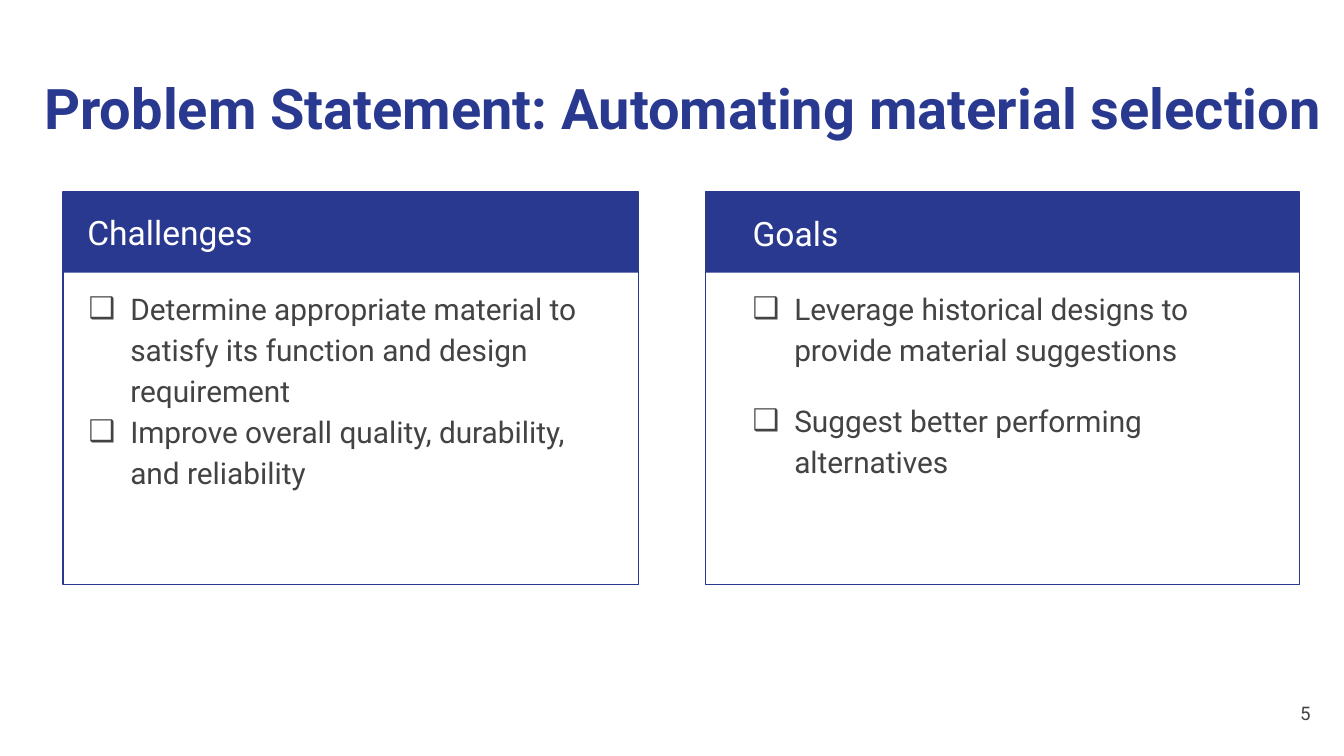
from dataclasses import dataclass

from lxml import etree
from pptx import Presentation
from pptx import util as u
from pptx.dml.color import RGBColor
from pptx.enum import shapes, text
from pptx.oxml.ns import qn

TITLE = "Problem Statement: Automating material selection"
PAGE_NUMBER = "5"

# Lengths in inches; "gap" is the space in points around every later item.
PANELS = [
    {
        "heading": "Challenges",
        "items": [
            "Determine appropriate material to satisfy its function and design requirement",
            "Improve overall quality, durability, and reliability",
        ],
        "left": 0.47, "width": 4.28, "heading_at": (0.55, 1.43),
        "text_left": 0.56, "text_width": 4, "gap": 0,
    },
    {
        "heading": "Goals",
        "items": [
            "Leverage historical designs to provide material suggestions",
            "Suggest better performing alternatives",
        ],
        "left": 5.25, "width": 4.42, "heading_at": (5.5, 1.44),
        "text_left": 5.5, "text_width": 4.02, "gap": 16,
    },
]


@dataclass(frozen=True)
class Theme:
    font: str = "Roboto"
    accent: str = "2A3990"
    body: str = "434343"
    light: str = "FFFFFF"
    title_size: int = 30
    heading_size: int = 18
    item_size: int = 16
    number_size: int = 10
    line_spacing: float = 1.15
    indent: float = 0.31
    inset: float = 0.1
    border: float = 0.75


THEME = Theme()
SLIDE_WIDTH = 10
SLIDE_HEIGHT = SLIDE_WIDTH * 9 / 16
PANEL_TOP, PANEL_HEIGHT, BAND_HEIGHT = 1.43, 2.92, 0.6
HEADING_SIZE = (2.73, 0.5)
ITEMS_TOP, ITEMS_HEIGHT = 2.02, 3.06


def place(box, left, top, width, height):
    box.left, box.top = u.Inches(left), u.Inches(top)
    box.width, box.height = u.Inches(width), u.Inches(height)


def write(box, lines, size, color, bold=False, spacing=1.0,
          align=text.PP_ALIGN.LEFT, anchor=text.MSO_ANCHOR.TOP,
          bullet=False, gap=0):
    frame = box.text_frame
    frame.text = "\n".join(lines)
    frame.word_wrap = True
    frame.auto_size = text.MSO_AUTO_SIZE.NONE
    frame.vertical_anchor = anchor
    frame.margin_left = frame.margin_right = u.Inches(THEME.inset)
    frame.margin_top = frame.margin_bottom = u.Inches(THEME.inset)
    for index, paragraph in enumerate(frame.paragraphs):
        if bullet:
            add_bullet(paragraph, color)
        paragraph.alignment = align
        paragraph.line_spacing = spacing
        paragraph.space_before = paragraph.space_after = u.Pt(gap if index else 0)
        font = paragraph.font
        font.name, font.size, font.bold = THEME.font, u.Pt(size), bold
        font.color.rgb = RGBColor.from_string(color)


def add_bullet(paragraph, color):
    properties = paragraph._p.get_or_add_pPr()
    properties.set("marL", str(u.Inches(THEME.indent)))
    properties.set("indent", str(-u.Inches(THEME.indent)))
    bullet_color = etree.SubElement(properties, qn("a:buClr"))
    etree.SubElement(bullet_color, qn("a:srgbClr"), val=color)
    etree.SubElement(properties, qn("a:buChar"), char="❑")


def add_rectangle(slide, left, width, height):
    rectangle = slide.shapes.add_shape(
        shapes.MSO_SHAPE.RECTANGLE, u.Inches(left), u.Inches(PANEL_TOP),
        u.Inches(width), u.Inches(height))
    rectangle.shadow.inherit = False
    return rectangle


def add_panel(slide, panel, heading, items):
    accent = RGBColor.from_string(THEME.accent)
    band = add_rectangle(slide, panel["left"], panel["width"], BAND_HEIGHT)
    band.fill.solid()
    band.fill.fore_color.rgb = accent
    band.line.fill.background()

    border = add_rectangle(slide, panel["left"], panel["width"], PANEL_HEIGHT)
    border.fill.background()
    border.line.color.rgb = accent
    border.line.width = u.Pt(THEME.border)

    place(heading, *panel["heading_at"], *HEADING_SIZE)
    write(heading, [panel["heading"]], THEME.heading_size, THEME.light,
          spacing=THEME.line_spacing)
    place(items, panel["text_left"], ITEMS_TOP, panel["text_width"], ITEMS_HEIGHT)
    write(items, panel["items"], THEME.item_size, THEME.body,
          spacing=THEME.line_spacing, bullet=True, gap=panel["gap"])
    for placeholder in (heading, items):  # bring the text in front of the band
        slide.shapes._spTree.append(placeholder._element)


def main():
    deck = Presentation()
    deck.slide_width, deck.slide_height = u.Inches(SLIDE_WIDTH), u.Inches(SLIDE_HEIGHT)
    slide = deck.slides.add_slide(deck.slide_layouts.get_by_name("Comparison"))
    title, *bodies = list(slide.placeholders)

    place(title, 0.23, 0.45, 9.83, 0.66)
    write(title, [TITLE], THEME.title_size, THEME.accent, bold=True)
    for panel, heading, items in zip(PANELS, bodies[::2], bodies[1::2]):
        add_panel(slide, panel, heading, items)

    number = slide.shapes.add_textbox(
        u.Inches(9.25), u.Inches(5.09), u.Inches(0.6), u.Inches(0.43))
    write(number, [PAGE_NUMBER], THEME.number_size, THEME.body,
          align=text.PP_ALIGN.RIGHT, anchor=text.MSO_ANCHOR.MIDDLE)
    deck.save("out.pptx")


if __name__ == "__main__":
    main()
